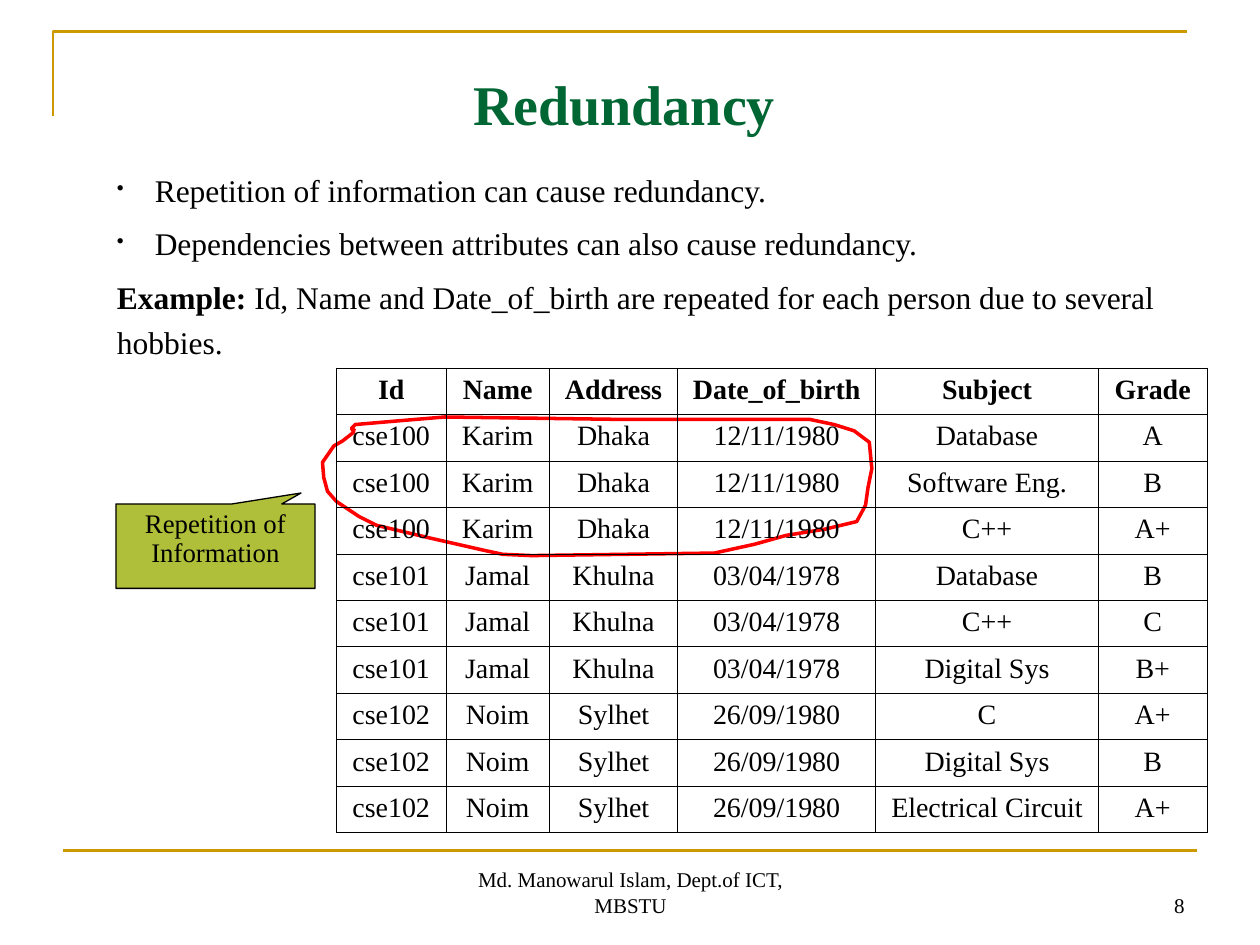
from lxml.etree import SubElement
from pptx import Presentation
from pptx.dml.color import RGBColor
from pptx.enum.shapes import MSO_CONNECTOR, MSO_SHAPE
from pptx.enum.text import MSO_ANCHOR, PP_ALIGN
from pptx.oxml.ns import qn
from pptx.util import Inches, Pt

FONT = "Times New Roman"
BLACK, GOLD, GREEN, OLIVE, RED = "000000", "CC9900", "006633", "AFBF39", "FF0000"

COURSES = [
    ("Id", "Name", "Address", "Date_of_birth", "Subject", "Grade"),
    ("cse100", "Karim", "Dhaka", "12/11/1980", "Database", "A"),
    ("cse100", "Karim", "Dhaka", "12/11/1980", "Software Eng.", "B"),
    ("cse100", "Karim", "Dhaka", "12/11/1980", "C++", "A+"),
    ("cse101", "Jamal", "Khulna", "03/04/1978", "Database", "B"),
    ("cse101", "Jamal", "Khulna", "03/04/1978", "C++", "C"),
    ("cse101", "Jamal", "Khulna", "03/04/1978", "Digital Sys", "B+"),
    ("cse102", "Noim", "Sylhet", "26/09/1980", "C", "A+"),
    ("cse102", "Noim", "Sylhet", "26/09/1980", "Digital Sys", "B"),
    ("cse102", "Noim", "Sylhet", "26/09/1980", "Electrical Circuit", "A+"),
]
COLUMN_WIDTHS = [0.87, 0.82, 1.02, 1.57, 1.77, 0.86]

# Hand-drawn loop, in inches from the top left corner of the table
LOOP = [(0.15, 0.5), (0.12, 0.48), (0.14, 0.51), (0.05, 0.58), (-0.02, 0.62),
        (-0.11, 0.75), (-0.1, 0.87), (-0.07, 0.98), (0, 1.06), (0.18, 1.18),
        (0.32, 1.25), (0.74, 1.35), (1.18, 1.45), (1.32, 1.48), (1.55, 1.49),
        (3, 1.47), (3.32, 1.4), (3.57, 1.33), (3.88, 1.28), (4.13, 1.22),
        (4.2, 1.09), (4.22, 0.95), (4.25, 0.8), (4.23, 0.59), (4.11, 0.5),
        (3.95, 0.45), (3.76, 0.41), (2.3, 0.41), (0.86, 0.39), (0.5, 0.42),
        (0.15, 0.45), (0.12, 0.48)]


def rgb(code):
    return RGBColor.from_string(code)


def add_run(paragraph, text, size, color=BLACK, bold=False):
    run = paragraph.add_run()
    run.text = text
    run.font.name, run.font.size, run.font.bold = FONT, Pt(size), bold
    run.font.color.rgb = rgb(color)


def add_text_frame(slide, box, anchor=MSO_ANCHOR.TOP):
    frame = slide.shapes.add_textbox(*map(Inches, box)).text_frame
    frame.word_wrap = True
    frame.vertical_anchor = anchor
    return frame


def add_label(slide, box, text, size, align, anchor=MSO_ANCHOR.TOP, **style):
    paragraph = add_text_frame(slide, box, anchor).paragraphs[0]
    paragraph.alignment = align
    add_run(paragraph, text, size, **style)


def add_outline(slide, points, color, width, close=False):
    start, *rest = [(Inches(x), Inches(y)) for x, y in points]
    builder = slide.shapes.build_freeform(*start)
    builder.add_line_segments(rest, close=close)
    outline = builder.convert_to_shape()
    outline.shadow.inherit = False
    outline.fill.background()
    outline.line.color.rgb = rgb(color)
    outline.line.width = Pt(width)


def add_frame_lines(slide, box):
    left, top, width, height = box
    add_outline(slide, [(left, top + 0.67), (left, top), (left + width, top)], GOLD, 1.5)
    start, bottom = left + 0.08, top + height
    rule = slide.shapes.add_connector(
        MSO_CONNECTOR.STRAIGHT, *map(Inches, (start, bottom, start + width, bottom)))
    rule.line.color.rgb = rgb(GOLD)
    rule.line.width = Pt(1.5)
    SubElement(rule._element.spPr, qn("a:effectLst"))


def add_footer(slide, box):
    left, top, width, height = box
    add_label(slide, (left, top, 3.17, height), "Md. Manowarul Islam, Dept.of ICT, MBSTU",
              12, PP_ALIGN.CENTER, MSO_ANCHOR.BOTTOM)
    add_label(slide, (left + width - 2.33, top, 2.33, height), "8",
              12, PP_ALIGN.RIGHT, MSO_ANCHOR.BOTTOM)


def add_bullet(paragraph, indent):
    properties = paragraph._p.get_or_add_pPr()
    properties.set("marL", str(Inches(indent)))
    properties.set("indent", str(-Inches(indent)))
    color = SubElement(properties, qn("a:buClr"))
    SubElement(color, qn("a:srgbClr"), val=BLACK)
    SubElement(properties, qn("a:buSzPct"), val="65000")
    SubElement(properties, qn("a:buChar"), char="•")


def add_explanation(slide, box):
    frame = add_text_frame(slide, box)
    causes = ["Repetition of information can cause redundancy.",
              "Dependencies between attributes can also cause redundancy."]
    for index, cause in enumerate(causes):
        paragraph = frame.add_paragraph() if index else frame.paragraphs[0]
        add_bullet(paragraph, 0.3)
        add_run(paragraph, cause, 18)
    example = frame.add_paragraph()
    add_run(example, "Example:", 18, bold=True)
    add_run(example, " Id, Name and Date_of_birth are repeated for each person "
                     "due to several hobbies.", 18)
    for index, paragraph in enumerate(frame.paragraphs):
        paragraph.line_spacing = 1.2
        if index:
            paragraph.space_before = Pt(4.5)


def add_callout(slide, box):
    callout = slide.shapes.add_shape(MSO_SHAPE.RECTANGULAR_CALLOUT, *map(Inches, box))
    callout.adjustments[0], callout.adjustments[1] = 0.43, -0.63
    callout.shadow.inherit = False
    callout.fill.solid()
    callout.fill.fore_color.rgb = rgb(OLIVE)
    callout.line.color.rgb = rgb(BLACK)
    callout.line.width = Pt(0.75)
    frame = callout.text_frame
    frame.word_wrap = True
    frame.vertical_anchor = MSO_ANCHOR.TOP
    paragraph = frame.paragraphs[0]
    paragraph.alignment = PP_ALIGN.CENTER
    paragraph.line_spacing = 0.9
    add_run(paragraph, "Repetition of Information", 15.3)


def style_cell(cell):
    """Black border on every side, no fill."""
    properties = cell._tc.get_or_add_tcPr()
    for side in ("a:lnL", "a:lnR", "a:lnT", "a:lnB"):
        border = SubElement(properties, qn(side), w=str(Pt(0.45)))
        fill = SubElement(border, qn("a:solidFill"))
        SubElement(fill, qn("a:srgbClr"), val=BLACK)
    cell.fill.background()


def add_course_table(slide, box):
    table = slide.shapes.add_table(
        len(COURSES), len(COLUMN_WIDTHS), *map(Inches, box)).table
    table.horz_banding = False
    for column, width in zip(table.columns, COLUMN_WIDTHS):
        column.width = Inches(width)
    for row_index, values in enumerate(COURSES):
        for column_index, value in enumerate(values):
            cell = table.cell(row_index, column_index)
            style_cell(cell)
            paragraph = cell.text_frame.paragraphs[0]
            paragraph.alignment = PP_ALIGN.CENTER
            add_run(paragraph, value, 16, bold=row_index == 0)


def main():
    presentation = Presentation()
    presentation.slide_width, presentation.slide_height = Inches(10), Inches(7.5)
    slide = presentation.slides.add_slide(presentation.slide_layouts[6])
    table_left, table_top = 2.67, 2.92

    add_frame_lines(slide, (0.42, 0.25, 9, 6.5))
    add_footer(slide, (3.42, 6.83, 6.08, 0.5))
    add_label(slide, (0.83, 0.5, 8.25, 0.64), "Redundancy", 32, PP_ALIGN.CENTER,
              color=GREEN, bold=True)
    add_explanation(slide, (0.83, 1.25, 8.75, 2.61))
    add_outline(slide, [(table_left + x, table_top + y) for x, y in LOOP], RED, 2)
    add_callout(slide, (0.92, 4, 1.58, 0.67))
    add_course_table(slide, (table_left, table_top, sum(COLUMN_WIDTHS), 3.69))
    presentation.save("out.pptx")


if __name__ == "__main__":
    main()
